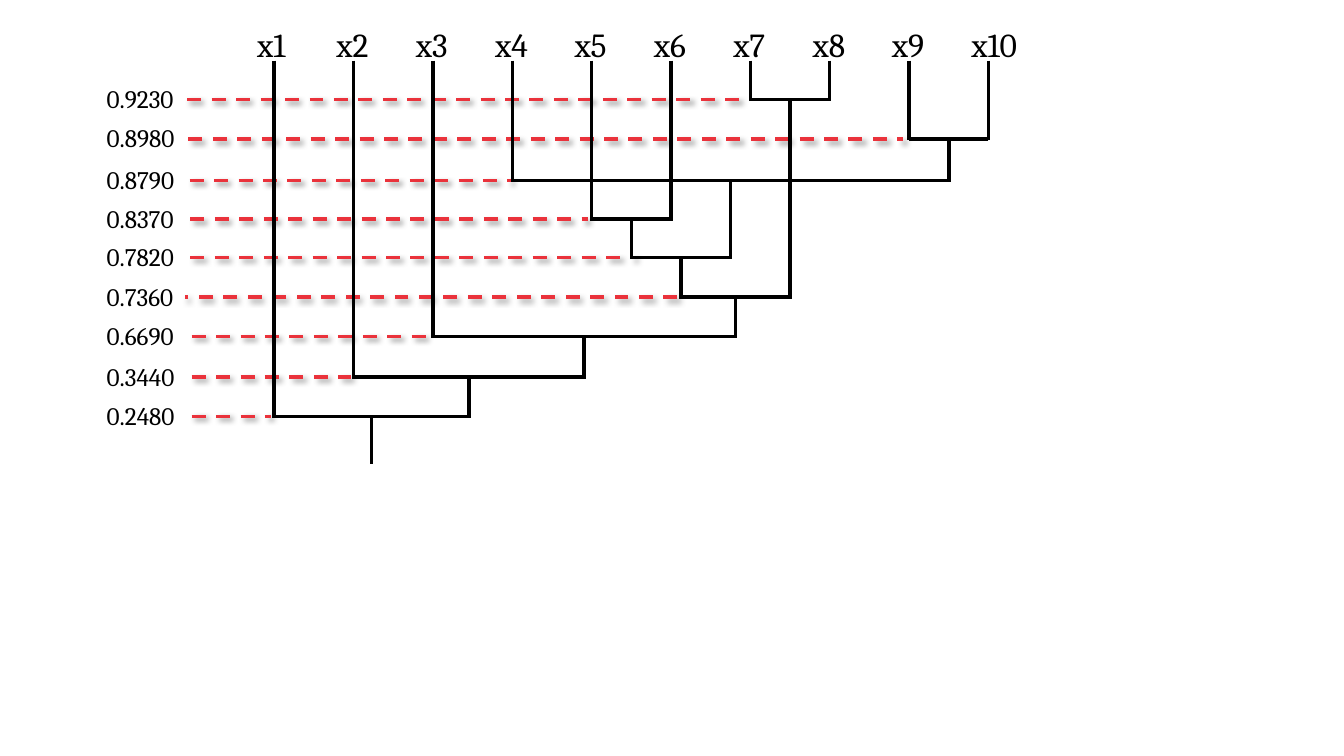
from lxml import etree
from pptx import Presentation
from pptx.dml.color import RGBColor
from pptx.enum.dml import MSO_LINE
from pptx.enum.shapes import MSO_CONNECTOR
from pptx.enum.text import MSO_AUTO_SIZE
from pptx.oxml.ns import qn
from pptx.util import Cm, Pt

STRAIGHT = MSO_CONNECTOR.STRAIGHT
DASH = MSO_LINE.DASH
GROW = MSO_AUTO_SIZE.SHAPE_TO_FIT_TEXT

COLORS = {"tree": "000000", "guide": "EA323B", "text": "000000", "shadow": "000000"}
FONT = "Cambria"
LINE_WIDTH = 2.5

LEAVES = ["x1", "x2", "x3", "x4", "x5", "x6", "x7", "x8", "x9", "x10"]

# similarity, left child, right child, height on the slide, guide start, guide end (cm)
MERGES = [
    ("0.9230", "x7", "x8", 2.51, 4.72, 18.72),
    ("0.8980", "x9", "x10", 3.5, 4.75, 22.76),
    ("0.8790", "x4", "0.8980", 4.55, 4.78, 12.88),
    ("0.8370", "x5", "x6", 5.52, 4.8, 14.81),
    ("0.7820", "0.8370", "0.8790", 6.49, 4.8, 16.0),
    ("0.7360", "0.7820", "0.9230", 7.49, 17.07, 4.67),
    ("0.6690", "x3", "0.7360", 8.48, 4.83, 10.82),
    ("0.3440", "x2", "0.6690", 9.5, 4.83, 8.84),
    ("0.2480", "x1", "0.3440", 10.49, 4.83, 6.83),
]

LEAF_X, LEAF_STEP, LEAF_Y = 6.91, 2.0, 1.53
ROOT_END = 11.68
CORNER = 0.04  # overshoot that closes the corners


def add_line(s, x1, y1, x2, y2, color):
    c = s.shapes.add_connector(STRAIGHT, Cm(x1), Cm(y1), Cm(x2), Cm(y2))
    c.line.color.rgb = RGBColor.from_string(COLORS[color])
    c.line.width = Pt(LINE_WIDTH)
    return c, etree.SubElement(c._element.spPr, qn("a:effectLst"))


def add_guide(s, x1, x2, y):
    """Draw a dashed level line with a soft shadow."""
    c, effects = add_line(s, x1, y, x2, y, "guide")
    c.line.dash_style = DASH
    shadow = etree.SubElement(effects, qn("a:outerShdw"), blurRad=str(Pt(4)),
                              dist=str(Pt(3)), dir="2700000", algn="tl", rotWithShape="0")
    color = etree.SubElement(shadow, qn("a:srgbClr"), val=COLORS["shadow"])
    etree.SubElement(color, qn("a:alpha"), val="40000")


def add_label(s, text, x, y, w, h, size):
    tf = s.shapes.add_textbox(Cm(x), Cm(y), Cm(w), Cm(h)).text_frame
    tf.word_wrap = True
    tf.auto_size = GROW
    r = tf.paragraphs[0].add_run()
    r.text = text
    r.font.name = FONT
    r.font.size = Pt(size)
    r.font.color.rgb = RGBColor.from_string(COLORS["text"])


def main():
    prs = Presentation()
    prs.slide_width, prs.slide_height = Cm(33.87), Cm(19.05)
    s = prs.slides.add_slide(prs.slide_layouts[6])

    # Every node has a stem that starts at its own point and ends at its parent's level.
    nodes = {leaf: (LEAF_X + i * LEAF_STEP, LEAF_Y) for i, leaf in enumerate(LEAVES)}
    stem_end = {}
    for value, left, right, y, _, _ in MERGES:
        nodes[value] = ((nodes[left][0] + nodes[right][0]) / 2, y)
        stem_end[left] = stem_end[right] = y + CORNER
    stem_end[MERGES[-1][0]] = ROOT_END

    for value, _, _, y, start, end in MERGES:
        add_label(s, value, 2.44, y - 0.53, 2.54, 1.02, 18)
        add_guide(s, start, end, y)

    for name, (x, y) in nodes.items():
        add_line(s, x, y, x, stem_end[name], "tree")

    for leaf in LEAVES:
        width = 1.63 if len(leaf) == 2 else 2.29
        add_label(s, leaf, nodes[leaf][0] - 0.68, 0.48, width, 1.27, 24)

    for _, left, right, y, _, _ in MERGES:
        add_line(s, nodes[right][0], y, nodes[left][0], y, "tree")

    prs.save("out.pptx")


if __name__ == "__main__":
    main()
